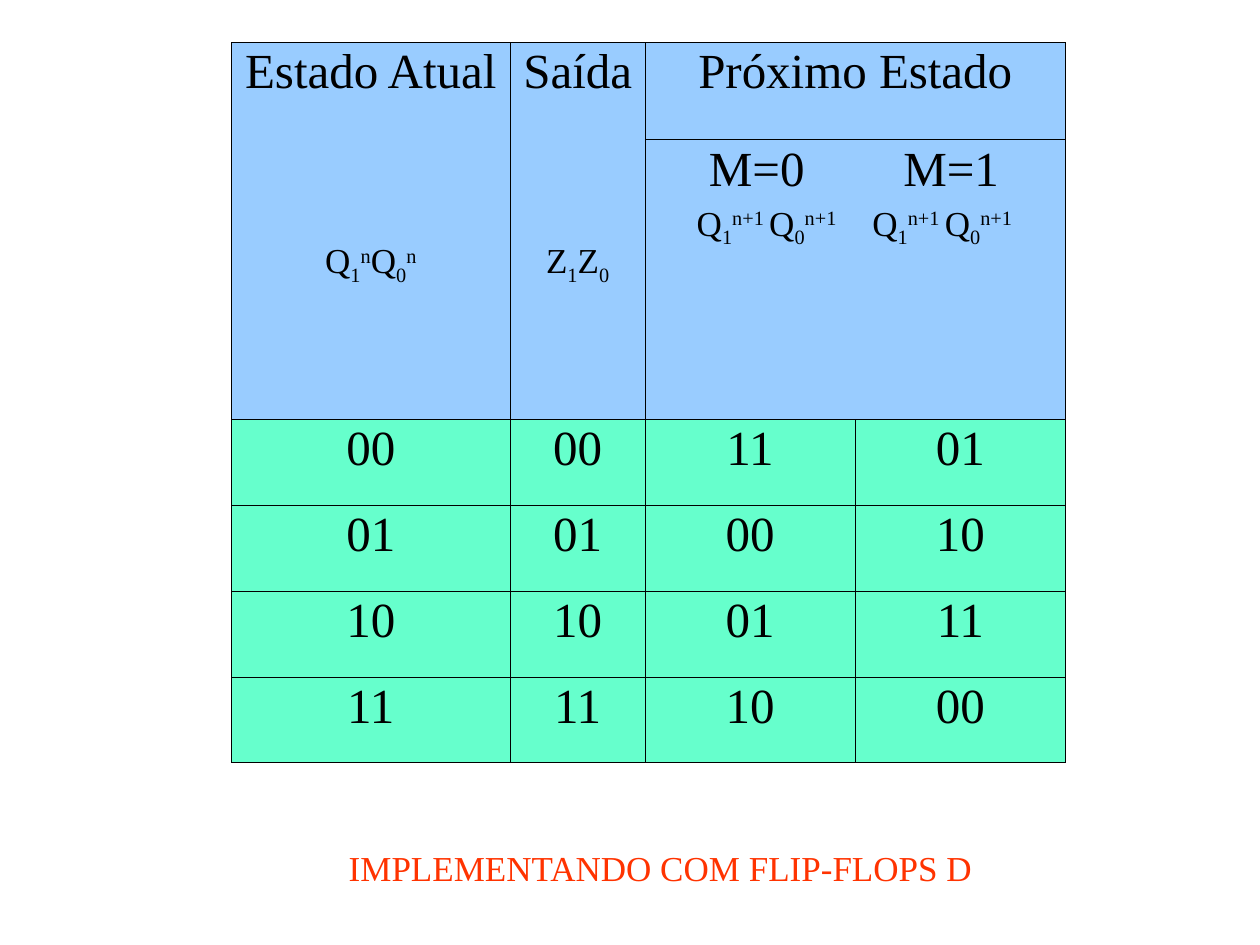
from pptx import Presentation
from pptx.dml.color import RGBColor as Rgb
from pptx.enum.text import PP_ALIGN as Align, MSO_AUTO_SIZE as Fit
from pptx.oxml import parse_xml
from pptx.oxml.ns import nsdecls
from pptx.util import Cm, Pt

FONT = "Times New Roman"
BLUE, GREEN, RED, BLACK = "99CCFF", "66FFCC", "FF3300", "000000"
SHIFT = {"_": "-25000", "^": "30000"}
COLS = [5.63, 2.71, 4.24, 4.24]
ROWS = [1.96, 5.64] + [1.73] * 4
STATES = [
    ["00", "00", "11", "01"],
    ["01", "01", "00", "10"],
    ["10", "10", "01", "11"],
    ["11", "11", "10", "00"],
]
NEXT = ["Q", "_1", "^n+1 ", "Q", "_0", "^n+1"]


def color(code):
    return Rgb.from_string(code)


def add_run(para, text, size, code=BLACK):
    run = para.add_run()
    run.text = text.lstrip("_^")
    font = run.font
    font.name, font.size = FONT, Pt(size)
    font.color.rgb = color(code)
    if text[0] in SHIFT:
        font._element.set("baseline", SHIFT[text[0]])


def add_tabs(para, stops):
    tabs = "".join(f'<a:tab pos="{Cm(stop)}" algn="ctr"/>' for stop in stops)
    props = para._p.get_or_add_pPr()
    props.append(parse_xml(f"<a:tabLst {nsdecls('a')}>{tabs}</a:tabLst>"))


def write(para, parts, size, gap=0, stops=()):
    if stops:
        add_tabs(para, stops)
    para.alignment = Align.LEFT if stops else Align.CENTER
    para.line_spacing = 0.93
    para.space_before = Pt(gap)
    for part in parts:
        add_run(para, part, size)


def style(cell, fill):
    props = cell._tc.get_or_add_tcPr()
    for side in "LRTB":
        props.append(parse_xml(
            f'<a:ln{side} {nsdecls("a")} w="{Pt(0.06)}"><a:solidFill>'
            f'<a:srgbClr val="{BLACK}"/></a:solidFill></a:ln{side}>'))
    cell.fill.solid()
    cell.fill.fore_color.rgb = color(fill)


def write_head(cell, title, parts=(), gap=0, stops=((), ())):
    frame = cell.text_frame
    write(frame.paragraphs[0], title, 28, stops=stops[0])
    if parts:
        write(frame.add_paragraph(), parts, 20, gap, stops[1])


def add_grid(slide):
    frame = slide.shapes.add_table(
        len(ROWS), len(COLS), Cm(4.66), Cm(0.85), Cm(sum(COLS)), Cm(sum(ROWS)))
    grid = frame.table
    for col, width in zip(grid.columns, COLS):
        col.width = Cm(width)
    for row, height in zip(grid.rows, ROWS):
        row.height = Cm(height)
    for r in range(len(ROWS)):
        for c in range(len(COLS)):
            style(grid.cell(r, c), BLUE if r < 2 else GREEN)
    for c in (0, 1):
        grid.cell(0, c).merge(grid.cell(1, c))
    for r in (0, 1):
        grid.cell(r, 2).merge(grid.cell(r, 3))

    write_head(grid.cell(0, 0), ["Estado Atual"],
               ["Q", "_1", "^n", "Q", "_0", "^n"], 82)
    write_head(grid.cell(0, 1), ["Saída"], ["Z", "_1", "Z", "_0"], 82)
    write_head(grid.cell(0, 2), ["Próximo Estado"])
    write_head(grid.cell(1, 2), ["\tM=0\tM=1"], ["\t", *NEXT, "\t", *NEXT], 5,
               ([2, 5.92], [2.2, 5.74]))
    for r, state in enumerate(STATES, 2):
        for c, bits in enumerate(state):
            write(grid.cell(r, c).text_frame.paragraphs[0], [bits], 28)


def add_note(slide, text):
    box = slide.shapes.add_textbox(Cm(6.78), Cm(16.94), Cm(13.13), Cm(1.12))
    frame = box.text_frame
    frame.word_wrap = False
    frame.auto_size = Fit.SHAPE_TO_FIT_TEXT
    add_run(frame.paragraphs[0], text, 20, RED)


def main():
    deck = Presentation()
    deck.slide_width, deck.slide_height = Cm(25.4), Cm(19.05)
    slide = deck.slides.add_slide(deck.slide_layouts[6])
    add_grid(slide)
    add_note(slide, "IMPLEMENTANDO COM FLIP-FLOPS D")
    deck.save("out.pptx")


if __name__ == "__main__":
    main()
